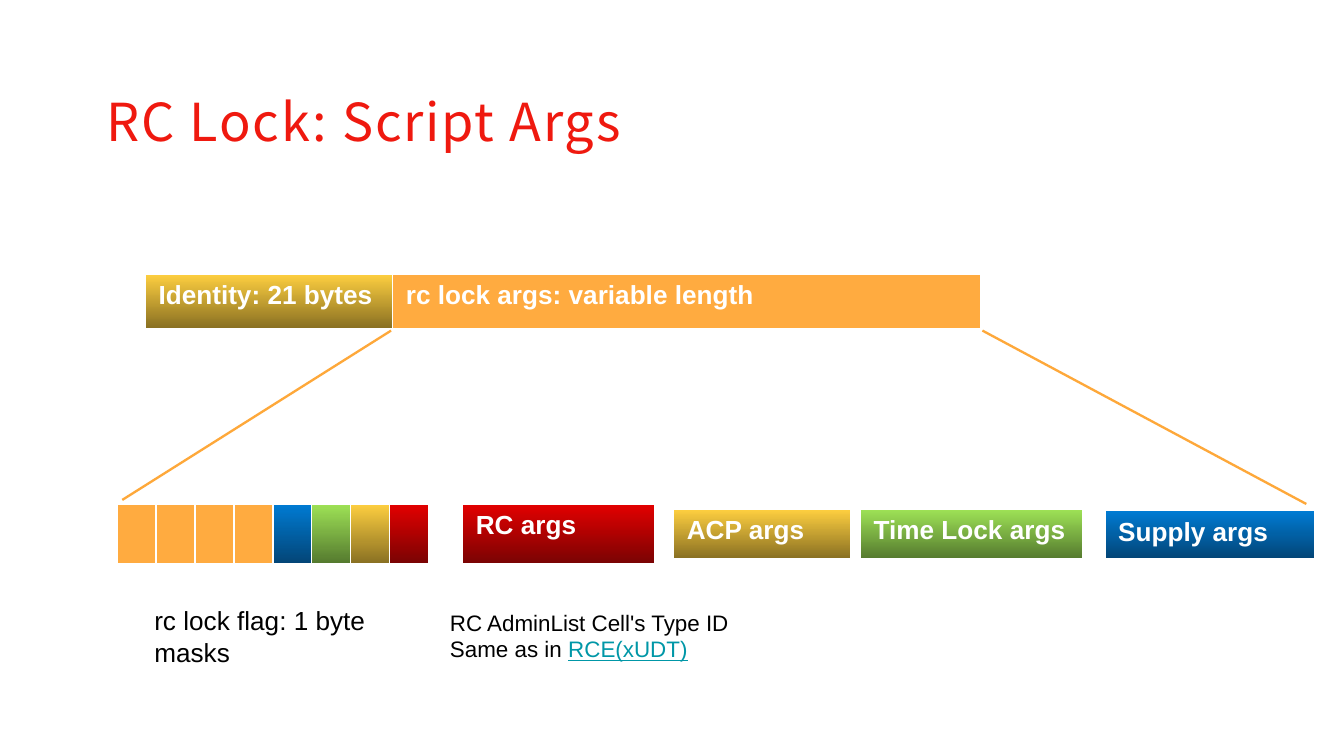
"""Build the RC Lock script args slide."""
from pptx import Presentation
from pptx.dml.color import RGBColor as RGB
from pptx.enum.shapes import MSO_CONNECTOR as Conn
from pptx.enum.text import MSO_ANCHOR as Anchor, MSO_AUTO_SIZE as Fit, PP_ALIGN as Align
from pptx.oxml import parse_xml
from pptx.oxml.ns import nsdecls
from pptx.util import Inches, Pt

THEME = {
    "head": {"name": "Noto Sans CJK SC", "size": 28, "color": "EF190F"},
    "cell": {"name": "Arial", "size": 14, "color": "FFFFFF", "bold": True},
    "note": {"name": "Arial", "size": 14, "color": "000000"},
    "small": {"name": "Arial", "size": 12, "color": "000000"},
    "link": {"name": "Arial", "size": 12, "color": "0097A7", "underline": True},
    "line": "FEA83A",
    "edge": "FFFFFF",
    "orange": ["FFAB40"],
    "blue": ["007BD3", "034373"],
    "green": ["9EE256", "52762D"],
    "gold": ["FECF40", "846C21"],
    "red": ["E30000", "760303"],
}
TITLE = "RC Lock: Script Args"
FLAGS = ["orange"] * 4 + ["blue", "green", "gold", "red"]
TABLES = [
    (0.87, 3.75, 0.46, [("", 0.29, hue) for hue in FLAGS]),
    (1.08, 2.04, 0.42, [("Identity: 21 bytes", 1.84, "gold"),
                        ("rc lock args: variable length", 4.38, "orange")]),
    (3.44, 3.75, 0.46, [("RC args", 1.43, "red")]),
    (5.01, 3.79, 0.38, [("ACP args", 1.32, "gold")]),
    (6.4, 3.79, 0.38, [("Time Lock args", 1.66, "green")]),
    (8.22, 3.8, 0.37, [("Supply args", 1.56, "blue")]),
]
LINES = [(2.91, 2.46, 0.91, 3.72), (7.31, 2.46, 9.72, 3.75)]
NOTES = [
    ((1.05, 4.45, 1.94, 0.57), [[("rc lock flag: 1 byte", "note")], [("masks", "note")]]),
    ((3.25, 4.48, 2.4, 0.5), [[("RC AdminList Cell's Type ID", "small")],
                              [("Same as in ", "small"), ("RCE(xUDT)", "link")]]),
]
EDGES = {"lnL": 1, "lnR": 1, "lnT": 1, "lnB": 3}


def put(para, text, style):
    run = para.add_run()
    run.text = text
    for key, val in THEME[style].items():
        if key == "color":
            run.font.color.rgb = RGB.from_string(val)
        else:
            setattr(run.font, key, Pt(val) if key == "size" else val)
    return run


def paint(fill, hues):
    if len(hues) == 1:
        fill.solid()
        fill.fore_color.rgb = RGB.from_string(hues[0])
        return
    fill.gradient()
    fill.gradient_angle = 270
    for stop, hue in zip(fill.gradient_stops, hues):
        stop.color.rgb = RGB.from_string(hue)


def edge(cell):
    props = cell._tc.get_or_add_tcPr()
    for i, (tag, size) in enumerate(EDGES.items()):
        props.insert(i, parse_xml(
            f'<a:{tag} {nsdecls("a")} w="{Pt(size)}"><a:solidFill>'
            f'<a:srgbClr val="{THEME["edge"]}"/></a:solidFill></a:{tag}>'))


def add_grid(shapes, left, top, high, cells):
    wide = sum(cell[1] for cell in cells)
    grid = shapes.add_table(1, len(cells), *map(Inches, (left, top, wide, high))).table
    grid.first_row = grid.horz_banding = False
    for i, (text, width, hue) in enumerate(cells):
        grid.columns[i].width = Inches(width)
        cell = grid.cell(0, i)
        paint(cell.fill, THEME[hue])
        edge(cell)
        if text:
            put(cell.text_frame.paragraphs[0], text, "cell")


def add_line(shapes, ends):
    line = shapes.add_connector(Conn.STRAIGHT, *map(Inches, ends))
    line.line.color.rgb = RGB.from_string(THEME["line"])
    line.line.width = Pt(1.25)
    line._element.spPr.append(parse_xml(f'<a:effectLst {nsdecls("a")}/>'))


def add_note(shapes, box, rows):
    frame = shapes.add_textbox(*map(Inches, box)).text_frame
    frame.word_wrap = True
    frame.auto_size = Fit.SHAPE_TO_FIT_TEXT
    for i, row in enumerate(rows):
        para = frame.add_paragraph() if i else frame.paragraphs[0]
        for text, style in row:
            put(para, text, style)


def add_title(title):
    place = {"left": 0.79, "top": 0.66, "width": 7.88, "height": 0.47}
    for key, val in place.items():
        setattr(title, key, Inches(val))
    frame = title.text_frame
    form = {"margin_left": 0, "margin_top": 0, "margin_right": 0, "margin_bottom": 0,
            "vertical_anchor": Anchor.MIDDLE, "word_wrap": True, "auto_size": Fit.NONE}
    for key, val in form.items():
        setattr(frame, key, val)
    para = frame.paragraphs[0]
    para.alignment = Align.LEFT
    props = put(para, TITLE, "head").font._element
    props.set("spc", "100")


def main():
    deck = Presentation()
    deck.slide_width, deck.slide_height = Inches(10), Inches(10 * 9 / 16)
    shapes = deck.slides.add_slide(deck.slide_layouts[5]).shapes
    add_title(shapes.title)
    for grid in TABLES:
        add_grid(shapes, *grid)
    for ends in LINES:
        add_line(shapes, ends)
    for note in NOTES:
        add_note(shapes, *note)
    deck.save("out.pptx")


if __name__ == "__main__":
    main()
